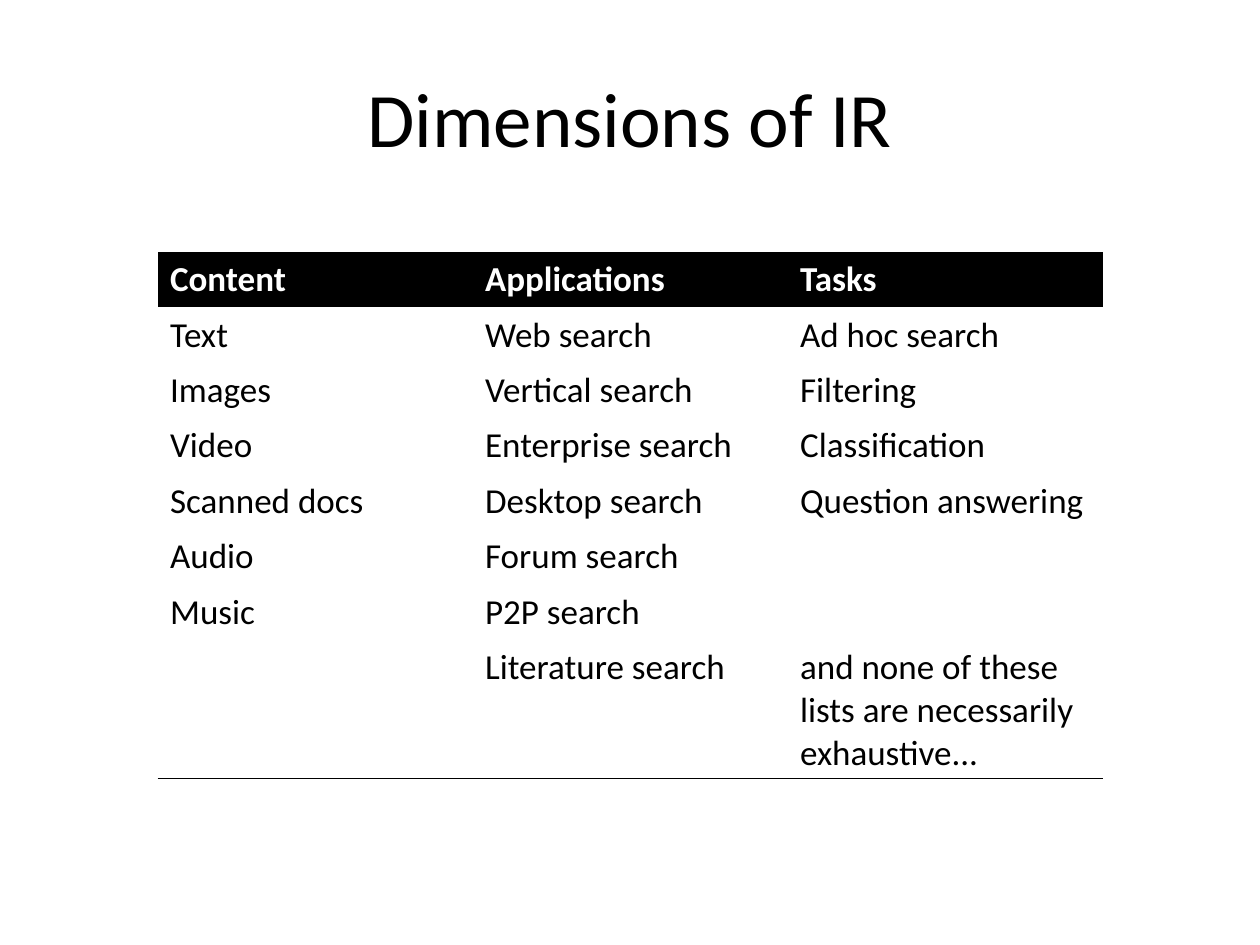
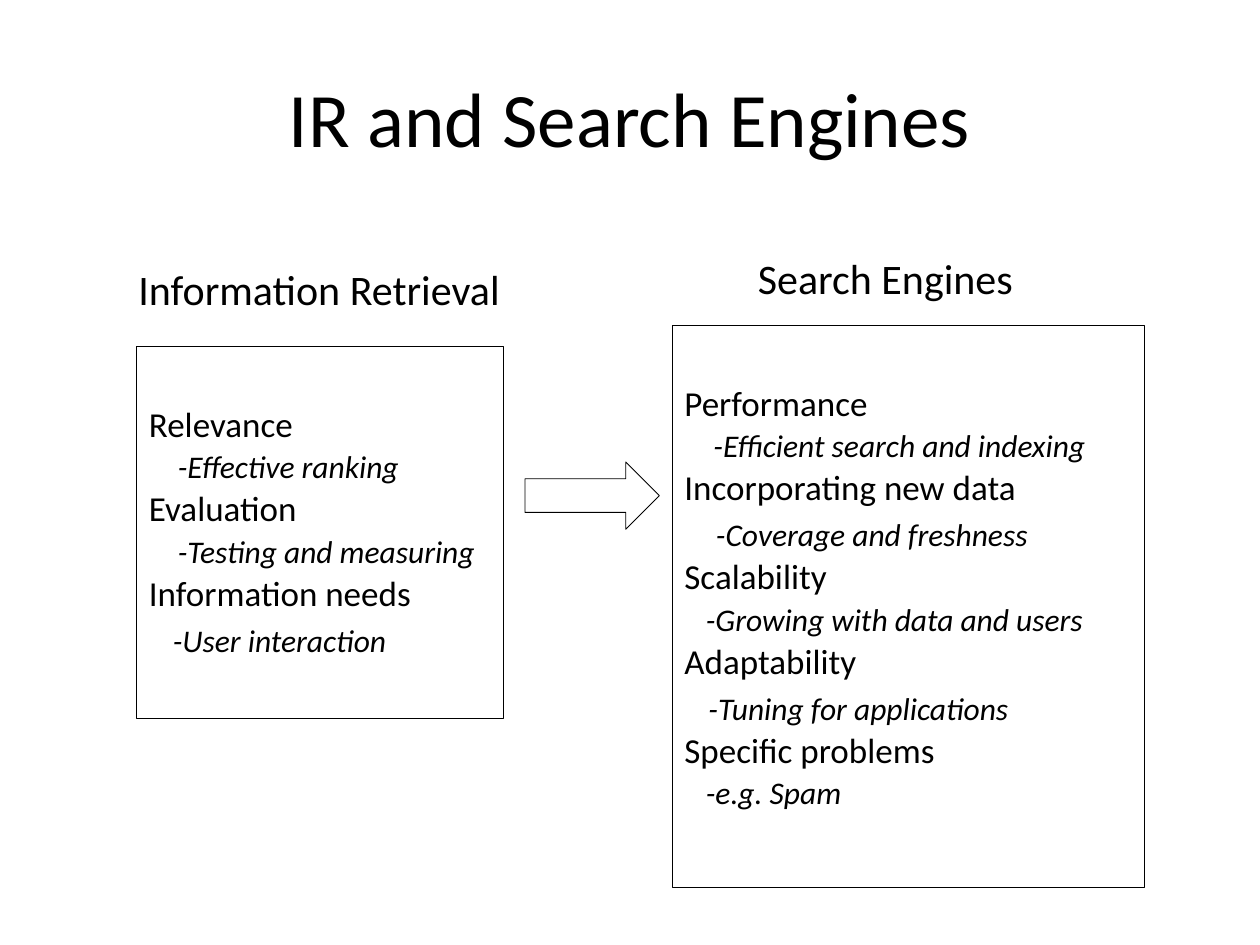
"""Builds two slides on the dimensions of information retrieval and its link to search engines."""
from dataclasses import dataclass

from lxml import etree
from pptx import Presentation
from pptx.dml.color import RGBColor
from pptx.enum.shapes import MSO_SHAPE
from pptx.enum.text import MSO_ANCHOR, PP_ALIGN
from pptx.oxml.ns import qn
from pptx.util import Inches, Pt

RECTANGLE, RIGHT_ARROW = MSO_SHAPE.RECTANGLE, MSO_SHAPE.RIGHT_ARROW
TOP, MIDDLE = MSO_ANCHOR.TOP, MSO_ANCHOR.MIDDLE
LEFT, CENTER = PP_ALIGN.LEFT, PP_ALIGN.CENTER


@dataclass(frozen=True)
class Theme:
    font: str = "Calibri"
    ink: RGBColor = RGBColor(0, 0, 0)
    paper: RGBColor = RGBColor(255, 255, 255)
    title: int = 44
    heading: int = 24
    body: int = 20
    detail: int = 18
    outline: float = 0.5
    rule: int = 1
    leading: float = 0.65
    plain_table: str = "{2D5ABB26-0587-4C30-8999-92F81FD0307C}"


theme = Theme()
deck = Presentation()
deck.slide_width, deck.slide_height = Inches(10), Inches(7.5)
UNIT = deck.slide_width / 120


def grid(*units):
    return [round(unit * UNIT) for unit in units]


def write(paragraph, text, size, color=theme.ink, bold=False, italic=False, **layout):
    run = paragraph.add_run()
    run.text = text
    run.font.color.rgb = color
    font_format = {"name": theme.font, "size": Pt(size), "bold": bold, "italic": italic}
    for target, values in ((run.font, font_format), (paragraph, layout)):
        for attribute, value in values.items():
            setattr(target, attribute, value)


slides = []
for title in ("Dimensions of IR", "IR and Search Engines"):
    slide = deck.slides.add_slide(deck.slide_layouts[6])
    title_frame = slide.shapes.add_textbox(*grid(6, 3.6, 108, 15)).text_frame
    title_frame.word_wrap = True
    title_frame.vertical_anchor = MIDDLE
    write(title_frame.paragraphs[0], title, theme.title, alignment=CENTER)
    slides.append(slide)
dimensions_slide, engines_slide = slides

dimensions = {
    "Content": ["Text", "Images", "Video", "Scanned docs", "Audio", "Music", ""],
    "Applications": ["Web search", "Vertical search", "Enterprise search", "Desktop search",
                     "Forum search", "P2P search", "Literature search"],
    "Tasks": ["Ad hoc search", "Filtering", "Classification", "Question answering", "", "",
              "and none of these lists are necessarily exhaustive..."],
}
row_heights = grid(*[5.28] * 7, 12.6)
last_row = len(row_heights) - 1
table = dimensions_slide.shapes.add_table(
    len(row_heights), len(dimensions), *grid(15, 24, 90), sum(row_heights)).table
table.horz_banding = False
table._tbl.tblPr.find(qn("a:tableStyleId")).text = theme.plain_table
for row, height in zip(table.rows, row_heights):
    row.height = height

for column, (dimension, entries) in enumerate(dimensions.items()):
    for row, entry in enumerate([dimension, *entries]):
        cell = table.cell(row, column)
        is_header = row == 0
        if is_header:
            cell.fill.solid()
            cell.fill.fore_color.rgb = theme.ink
        else:
            cell.fill.background()
        if entry:
            write(cell.text_frame.paragraphs[0], entry, theme.body,
                  theme.paper if is_header else theme.ink, bold=is_header)
        if row == last_row:
            border = etree.Element(qn("a:lnB"), w=str(Pt(theme.rule)))
            border_fill = etree.SubElement(border, qn("a:solidFill"))
            etree.SubElement(border_fill, qn("a:srgbClr"), val=str(theme.ink))
            cell._tc.get_or_add_tcPr().insert(0, border)

NEAR, FAR = 9.25, 12
fields = [
    ("Information Retrieval", (12, 26, 37.2, 4.7), (13, 33, 35, 35.4), [
        ("Relevance", "-Effective ranking", 0.23, NEAR),
        ("Evaluation", "-Testing and measuring", 0.23, NEAR),
        ("Information needs", "-User interaction", 0.19, FAR),
    ]),
    ("Search Engines", (71, 25, 27, 4.7), (64, 31, 45, 53.5), [
        ("Performance", "-Efficient search and indexing", 0.23, NEAR),
        ("Incorporating new data", "-Coverage and freshness", 0.25, FAR),
        ("Scalability", "-Growing with data and users", 0.17, NEAR),
        ("Adaptability", "-Tuning for applications", 0.19, FAR),
        ("Specific problems", "-e.g. Spam", 0.17, NEAR),
    ]),
]
outlined = []
for field, heading_area, issues_area, issues in fields:
    heading_frame = engines_slide.shapes.add_textbox(*grid(*heading_area)).text_frame
    heading_frame.word_wrap = False
    write(heading_frame.paragraphs[0], field, theme.heading, line_spacing=theme.leading)

    issues_box = engines_slide.shapes.add_shape(RECTANGLE, *grid(*issues_area))
    outlined.append(issues_box)
    issues_frame = issues_box.text_frame
    frame_format = {"word_wrap": True, "vertical_anchor": TOP, "margin_top": Inches(0.55)}
    for attribute, value in frame_format.items():
        setattr(issues_frame, attribute, value)
    for position, (issue, example, indent, gap) in enumerate(issues):
        issue_line = issues_frame.add_paragraph() if position else issues_frame.paragraphs[0]
        write(issue_line, issue, theme.body, alignment=LEFT, line_spacing=theme.leading,
              space_before=Pt(NEAR if position else 0))
        example_line = issues_frame.add_paragraph()
        write(example_line, example, theme.detail, italic=True, alignment=LEFT,
              line_spacing=theme.leading, space_before=Pt(gap))
        example_line._p.get_or_add_pPr().set("marL", str(Inches(indent)))

outlined.append(engines_slide.shapes.add_shape(RIGHT_ARROW, *grid(50, 44, 12.8, 6.4)))
for shape in outlined:
    shape.shadow.inherit = False
    shape.fill.background()
    shape.line.color.rgb = theme.ink
    shape.line.width = Pt(theme.outline)

deck.save("out.pptx")
